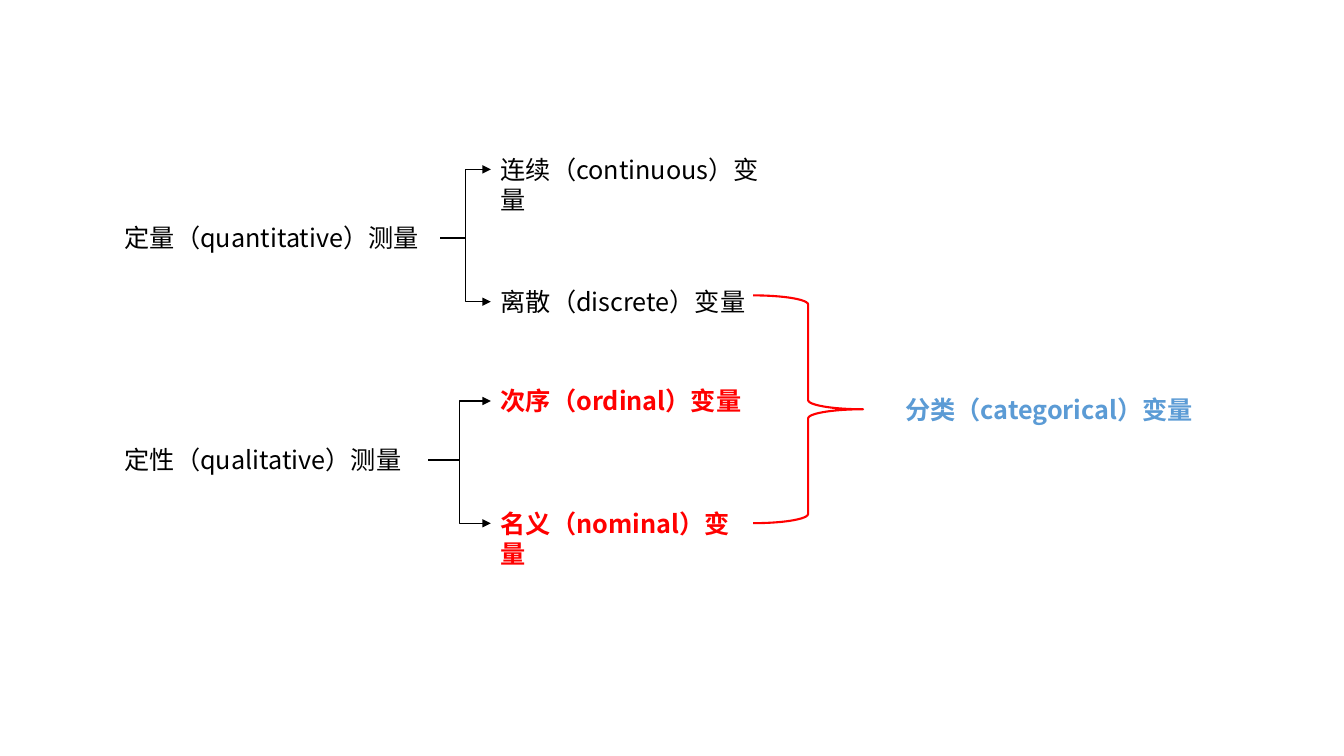
from dataclasses import dataclass

from lxml.etree import SubElement
from pptx import Presentation
from pptx.dml.color import RGBColor
from pptx.enum.shapes import MSO_CONNECTOR, MSO_SHAPE
from pptx.oxml.ns import qn
from pptx.shapes.autoshape import Shape
from pptx.util import Pt

FONT = "Noto Sans CJK SC"
INK = {"black": "000000", "red": "FF0000", "blue": "5B9BD5"}
LEFT, MID, RIGHT = 82, 350.6, 639.4
HIGH = 29
EAST, WEST = 3, 1  # connection sites of a text box


@dataclass
class Label:
    text: str
    x: float
    y: float
    width: float
    ink: str = "black"
    bold: bool = False


@dataclass
class Fork:
    root: Label
    leaves: list[Label]


forks = [
    Fork(Label("定量（quantitative）测量", LEFT, 155.5, 232.4), [
        Label("连续（continuous）变量", MID, 106.5, 214.5),
        Label("离散（discrete）变量", MID, 201, 196.4),
    ]),
    Fork(Label("定性（qualitative）测量", LEFT, 314, 224), [
        Label("次序（ordinal）变量", MID, 272, 187, "red", True),
        Label("名义（nominal）变量", MID, 359.3, 187, "red", True),
    ]),
]
group = Label("分类（categorical）变量", RIGHT, 278, 224, "blue", True)

deck = Presentation()
deck.slide_width, deck.slide_height = Pt(960), Pt(540)
slide = deck.slides.add_slide(deck.slide_layouts[6])
shapes = slide.shapes


def color(name: str) -> RGBColor:
    return RGBColor.from_string(INK[name])


def write(label: Label) -> Shape:
    box = shapes.add_textbox(Pt(label.x), Pt(label.y), Pt(label.width), Pt(HIGH))
    frame = box.text_frame
    frame.word_wrap = True
    frame.text = label.text
    para = frame.paragraphs[0]
    para.line_spacing = Pt(21.6)
    font = para.runs[0].font
    font.name, font.size, font.bold = FONT, Pt(18), label.bold
    font.color.rgb = color(label.ink)
    # East Asian typeface
    props = para.runs[0]._r.get_or_add_rPr()
    SubElement(props, qn("a:ea")).set("typeface", FONT)
    return box


def link(root: Shape, leaf: Shape) -> None:
    arrow = shapes.add_connector(MSO_CONNECTOR.ELBOW, 0, 0, 0, 0)
    arrow.begin_connect(root, EAST)
    arrow.end_connect(leaf, WEST)
    arrow.line.color.rgb = color("black")
    arrow.line.width = Pt(1)
    # Arrowhead, no shadow
    props = arrow._element.spPr
    SubElement(props.find(qn("a:ln")), qn("a:tailEnd")).set("type", "triangle")
    SubElement(props, qn("a:effectLst"))


# Measurement types and their variables
for fork in forks:
    root = write(fork.root)
    for leaf in fork.leaves:
        link(root, write(leaf))

# Brace over the categorical variables
brace = shapes.add_shape(MSO_SHAPE.RIGHT_BRACE, Pt(538), Pt(211), Pt(78.5), Pt(162.7))
brace.shadow.inherit = False
brace.fill.background()
brace.line.color.rgb = color("red")
brace.line.width = Pt(1.5)
write(group)

deck.save("out.pptx")
